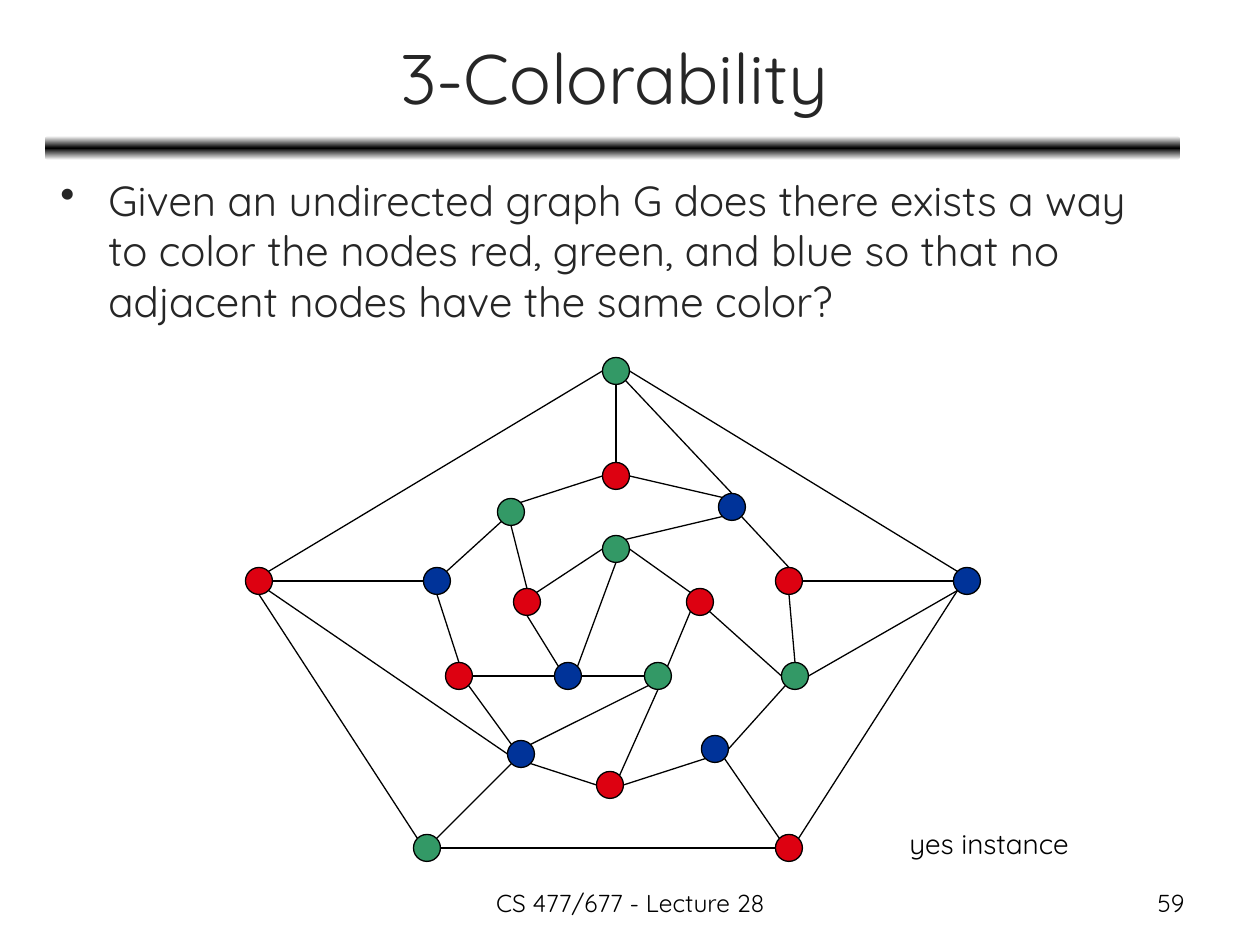
from copy import deepcopy
from dataclasses import dataclass
from math import cos, radians, sin

from pptx import Presentation, util as u
from pptx.dml.color import RGBColor
from pptx.enum import shapes, text
from pptx.oxml.ns import qn
from lxml import etree


@dataclass(frozen=True)
class Theme:
    font: str = "Quicksand"
    heading: str = "262626"
    ink: str = "000000"
    paper: str = "FFFFFF"
    title_size: int = 40
    body_size: int = 24
    label_size: int = 16
    footer_size: int = 14
    line_width: float = 0.75


THEME = Theme()
NODE_COLORS = {"red": "DD0111", "green": "339966", "blue": "003399"}

TITLE = "3-Colorability"
QUESTION = ("Given an undirected graph G does there exists a way to color the nodes "
            "red, green, and blue so that no adjacent nodes have the same color?")
VERDICT = "yes instance"
LECTURE = "CS 477/677 - Lecture 28"
PAGE = "59"

NODES = {
    "inner0": (616, 549, "green"), "inner1": (700, 602, "red"),
    "inner2": (658, 676, "green"), "inner3": (568, 676, "blue"),
    "inner4": (527, 602, "red"),
    "outer0": (616, 371, "green"), "outer1": (967, 581, "blue"),
    "outer2": (789, 848, "red"), "outer3": (427, 848, "green"),
    "outer4": (259, 581, "red"),
    "ring0": (616, 476, "red"), "ring1": (732, 507, "blue"),
    "ring2": (789, 581, "red"), "ring3": (795, 676, "green"),
    "ring4": (715, 749, "blue"), "ring5": (610, 785, "red"),
    "ring6": (521, 754, "blue"), "ring7": (459, 676, "red"),
    "ring8": (437, 581, "blue"), "ring9": (511, 512, "green"),
}
EDGES = [
    ("inner0 E", "inner1 NW"), ("inner3 E", "inner2 W"), ("inner4 NE", "inner0 W"),
    ("inner2 NE", "inner1 SW"), ("inner3 NE", "inner0 S"), ("inner3 NW", "inner4 S"),
    ("outer2 NE", "outer1 SW"), ("outer0 E", "outer1 NW"), ("outer3 NW", "outer4 S"),
    ("outer4 NE", "outer0 W"), ("outer3 E", "outer2 W"),
    ("ring0 E", "ring1 NW"), ("ring2 N", "ring1 SE"), ("ring3 N", "ring2 S"),
    ("ring3 SW", "ring4 E"), ("ring5 E", "ring4 SW"), ("ring6 SE", "ring5 W"),
    ("ring7 SE", "ring6 NW"), ("ring8 S", "ring7 N"), ("ring9 SW", "ring8 NE"),
    ("ring0 W", "ring9 NE"),
    ("ring0 N", "outer0 S"), ("ring1 N", "outer0 SE"), ("ring2 E", "outer1 W"),
    ("ring3 E", "outer1 SW"), ("outer2 NW", "ring4 SE"), ("ring6 SW", "outer3 NE"),
    ("ring6 W", "outer4 SE"), ("ring8 W", "outer4 E"),
    ("ring1 SW", "inner0 NE"), ("ring3 W", "inner1 SE"), ("inner2 S", "ring5 NE"),
    ("ring6 NE", "inner2 SW"), ("inner3 W", "ring7 E"), ("inner4 N", "ring9 S"),
]
NODE_SIZE = 27
SITES = {name: radians(45 * step) for step, name in
         enumerate(("E", "SE", "S", "SW", "W", "NW", "N", "NE"))}


def px(length):
    return u.Emu(round(length * 914400 / 126))


def rgb(code):
    return RGBColor.from_string(code)


def write(frame, words, size, color=THEME.ink, align=text.PP_ALIGN.LEFT,
          anchor=text.MSO_ANCHOR.TOP, bullet=None, indent=0):
    frame.word_wrap = True
    frame.auto_size = text.MSO_AUTO_SIZE.NONE
    frame.vertical_anchor = anchor
    paragraph = frame.paragraphs[0]
    paragraph.text = words
    paragraph.alignment = align
    if bullet:
        props = paragraph._p.get_or_add_pPr()
        props.set("marL", str(px(indent)))
        props.set("indent", str(-px(indent)))
        etree.SubElement(props, qn("a:buChar")).set("char", bullet)
    font = paragraph.runs[0].font
    font.name, font.size = THEME.font, u.Pt(size)
    font.color.rgb = rgb(color)


def add_words(slide, box, words, size, **style):
    area = slide.shapes.add_textbox(*map(px, box))
    write(area.text_frame, words, size, **style)


def add_rule(slide):
    rule = slide.shapes.add_shape(shapes.MSO_SHAPE.ROUNDED_RECTANGLE,
                                  *map(px, (45, 136, 1135, 24)))
    rule.shadow.inherit = False
    rule.line.fill.background()
    rule.fill.gradient()
    rule.fill.gradient_angle = 90
    first, last = rule.fill.gradient_stops
    first.color.rgb = last.color.rgb = rgb(THEME.paper)
    stops = rule._element.spPr.find(qn("a:gradFill")).find(qn("a:gsLst"))
    stops.insert(1, deepcopy(stops[0]))
    middle = rule.fill.gradient_stops[1]
    middle.position = 0.5
    middle.color.rgb = rgb(THEME.ink)


def site_point(site):
    node, side = site.split()
    x, y, _ = NODES[node]
    radius = NODE_SIZE / 2
    return px(x + radius * cos(SITES[side])), px(y + radius * sin(SITES[side]))


def outline(line):
    line.color.rgb = rgb(THEME.ink)
    line.width = u.Pt(THEME.line_width)


def add_graph(slide):
    for start, end in EDGES:
        edge = slide.shapes.add_connector(shapes.MSO_CONNECTOR.STRAIGHT,
                                          *site_point(start), *site_point(end))
        outline(edge.line)
        etree.SubElement(edge._element.spPr, qn("a:effectLst"))
    for x, y, color in NODES.values():
        corner = (x - NODE_SIZE / 2, y - NODE_SIZE / 2)
        node = slide.shapes.add_shape(shapes.MSO_SHAPE.OVAL,
                                      *map(px, (*corner, NODE_SIZE, NODE_SIZE)))
        node.shadow.inherit = False
        node.fill.solid()
        node.fill.fore_color.rgb = rgb(NODE_COLORS[color])
        outline(node.line)


def main():
    deck = Presentation()
    deck.slide_width, deck.slide_height = px(1260), px(945)
    slide = deck.slides.add_slide(deck.slide_layouts[5])

    title = slide.shapes.title
    title.left, title.top, title.width, title.height = map(px, (47, 14, 1134, 125))
    write(title.text_frame, TITLE, THEME.title_size, color=THEME.heading,
          align=text.PP_ALIGN.CENTER, anchor=text.MSO_ANCHOR.MIDDLE)
    add_rule(slide)
    add_words(slide, (48, 168, 1134, 699), QUESTION, THEME.body_size,
              color=THEME.heading, bullet="•", indent=48)
    add_graph(slide)
    add_words(slide, (897, 820, 218, 47), VERDICT, THEME.label_size)
    add_words(slide, (431, 882, 399, 44), LECTURE, THEME.footer_size,
              align=text.PP_ALIGN.CENTER)
    add_words(slide, (903, 882, 294, 44), PAGE, THEME.footer_size,
              align=text.PP_ALIGN.RIGHT)
    deck.save("out.pptx")


if __name__ == "__main__":
    main()
